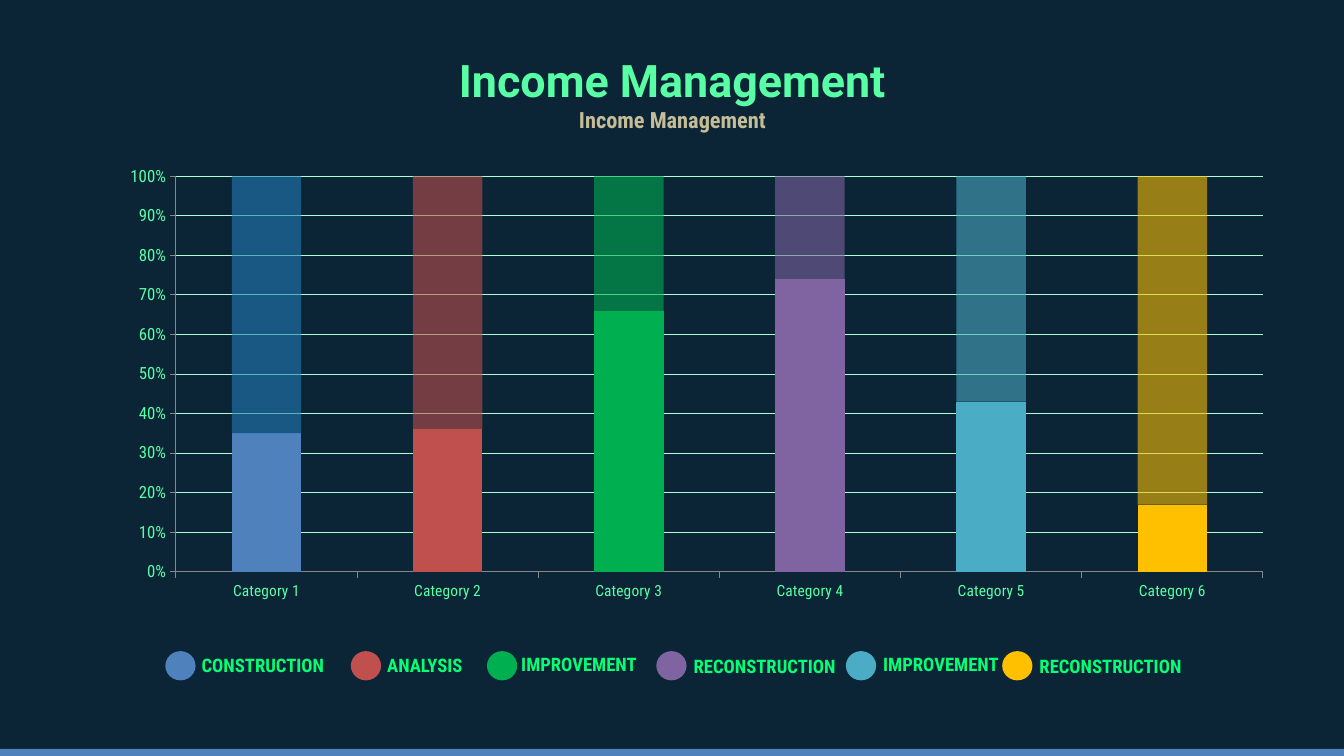
from dataclasses import dataclass

from lxml import etree
from pptx import Presentation
from pptx.chart.data import CategoryChartData
from pptx.dml.color import RGBColor
from pptx.enum.chart import XL_CHART_TYPE, XL_TICK_MARK
from pptx.enum.shapes import MSO_SHAPE
from pptx.enum.text import MSO_ANCHOR, PP_ALIGN
from pptx.oxml.ns import qn
from pptx.util import Inches, Pt

STACKED = XL_CHART_TYPE.COLUMN_STACKED_100
TICK_OUTSIDE = XL_TICK_MARK.OUTSIDE
RECTANGLE, OVAL = MSO_SHAPE.RECTANGLE, MSO_SHAPE.OVAL
MIDDLE, TOP = MSO_ANCHOR.MIDDLE, MSO_ANCHOR.TOP
CENTER, LEFT = PP_ALIGN.CENTER, PP_ALIGN.LEFT


@dataclass(frozen=True)
class Theme:
    background: str = "0B2537"
    footer: str = "4F81BD"
    title: str = "58FFA4"
    subtitle: str = "C4BD97"
    legend: str = "04FF76"
    grid: str = "ACFFD1"
    heading_font: str = "Roboto"
    body_font: str = "Roboto Condensed"
    title_size: float = 32
    subtitle_size: float = 16
    legend_size: float = 13.3
    value_size: float = 12
    category_size: float = 11
    remainder_opacity: int = 58


@dataclass(frozen=True)
class Category:
    label: str
    share: int
    color: str
    remainder_color: str
    dot_left: float
    label_left: float
    label_top: float
    label_width: float


THEME = Theme()
CATEGORIES = [
    Category("CONSTRUCTION", 35, "4F81BD", "237DB9", 1.64, 2, 6.49, 1.23),
    Category("ANALYSIS", 36, "C0504D", "C0504D", 3.48, 3.84, 6.49, 0.78),
    Category("IMPROVEMENT", 66, "00B050", "00B050", 4.83, 5.17, 6.48, 1.16),
    Category("RECONSTRUCTION", 74, "8064A2", "8064A2", 6.51, 6.88, 6.5, 1.43),
    Category("IMPROVEMENT", 43, "4BACC6", "4BACC6", 8.39, 8.76, 6.48, 1.16),
    Category("RECONSTRUCTION", 17, "FFC000", "FFC000", 9.94, 10.31, 6.5, 1.43),
]


def rgb(color: str) -> RGBColor:
    return RGBColor.from_string(color)


def paint(fill, color: str, opacity: int = 100) -> None:
    fill.solid()
    fill.fore_color.rgb = rgb(color)
    if opacity < 100:
        for element in fill._xPr.iter(qn("a:srgbClr")):
            etree.SubElement(element, qn("a:alpha")).set("val", str(opacity * 1000))


def add_text(page, text: str, left: float, top: float, width: float, height: float, *,
             size: float, color: str, font: str = THEME.body_font,
             align=LEFT, anchor=TOP) -> None:
    box = page.shapes.add_textbox(Inches(left), Inches(top), Inches(width), Inches(height))
    frame = box.text_frame
    frame.margin_left = frame.margin_right = frame.margin_top = frame.margin_bottom = 0
    frame.word_wrap = False
    frame.vertical_anchor = anchor
    para = frame.paragraphs[0]
    para.alignment = align
    span = para.add_run()
    span.text = text
    span.font.name = font
    span.font.size = Pt(size)
    span.font.bold = True
    span.font.color.rgb = rgb(color)


def add_block(page, preset, left: float, top: float, width: float, height: float,
              color: str) -> None:
    shape = page.shapes.add_shape(preset, Inches(left), Inches(top), Inches(width), Inches(height))
    shape.shadow.inherit = False
    paint(shape.fill, color)
    shape.line.fill.background()


def style_axis(axis, size: float) -> None:
    axis.major_tick_mark = TICK_OUTSIDE
    font = axis.tick_labels.font
    font.size = Pt(size)
    font.name = THEME.body_font
    font.color.rgb = rgb(THEME.title)


def add_income_chart(page) -> None:
    data = CategoryChartData()
    data.categories = [f"Category {number}" for number in range(1, len(CATEGORIES) + 1)]
    data.add_series("Series 1", [category.share for category in CATEGORIES])
    data.add_series("Series 2", [100 - category.share for category in CATEGORIES])
    chart = page.shapes.add_chart(
        STACKED, Inches(1.06), Inches(1.56), Inches(11.7), Inches(4.49), data).chart
    chart.has_legend = False
    chart.has_title = False
    chart.font.name = THEME.body_font
    chart.font.size = Pt(THEME.subtitle_size)
    chart.font.color.rgb = rgb(THEME.title)
    style_axis(chart.category_axis, THEME.category_size)
    value_axis = chart.value_axis
    style_axis(value_axis, THEME.value_size)
    value_axis.tick_labels.number_format = "0%"
    value_axis.tick_labels.number_format_is_linked = False
    grid = value_axis.major_gridlines.format.line
    grid.width = Pt(0.75)
    grid.color.rgb = rgb(THEME.grid)
    plot = chart.plots[0]
    plot.gap_width = 161
    plot.overlap = 100
    plot.vary_by_categories = False
    shares, remainders = plot.series
    paint(shares.format.fill, CATEGORIES[0].color)
    paint(remainders.format.fill, CATEGORIES[0].remainder_color, THEME.remainder_opacity)
    for index, category in enumerate(CATEGORIES[1:], start=1):
        paint(shares.points[index].format.fill, category.color)
        paint(remainders.points[index].format.fill, category.remainder_color,
              THEME.remainder_opacity)


def main() -> None:
    """Build the income management slide."""
    deck = Presentation()
    deck.slide_width, deck.slide_height = Inches(13.33), Inches(7.5)
    page = deck.slides.add_slide(deck.slide_layouts[6])
    paint(page.background.fill, THEME.background)
    add_block(page, RECTANGLE, 0, 7.43, 13.33, 0.07, THEME.footer)
    add_text(page, "Income Management", 2.56, 0.53, 8.22, 0.52, size=THEME.title_size,
             color=THEME.title, font=THEME.heading_font, align=CENTER, anchor=MIDDLE)
    add_text(page, "Income Management", 3.67, 1.04, 6, 0.29, size=THEME.subtitle_size,
             color=THEME.subtitle, align=CENTER, anchor=MIDDLE)
    add_income_chart(page)
    for category in CATEGORIES:
        add_block(page, OVAL, category.dot_left, 6.46, 0.3, 0.29, category.color)
        add_text(page, category.label, category.label_left, category.label_top,
                 category.label_width, 0.22, size=THEME.legend_size, color=THEME.legend)
    deck.save("out.pptx")


if __name__ == "__main__":
    main()
